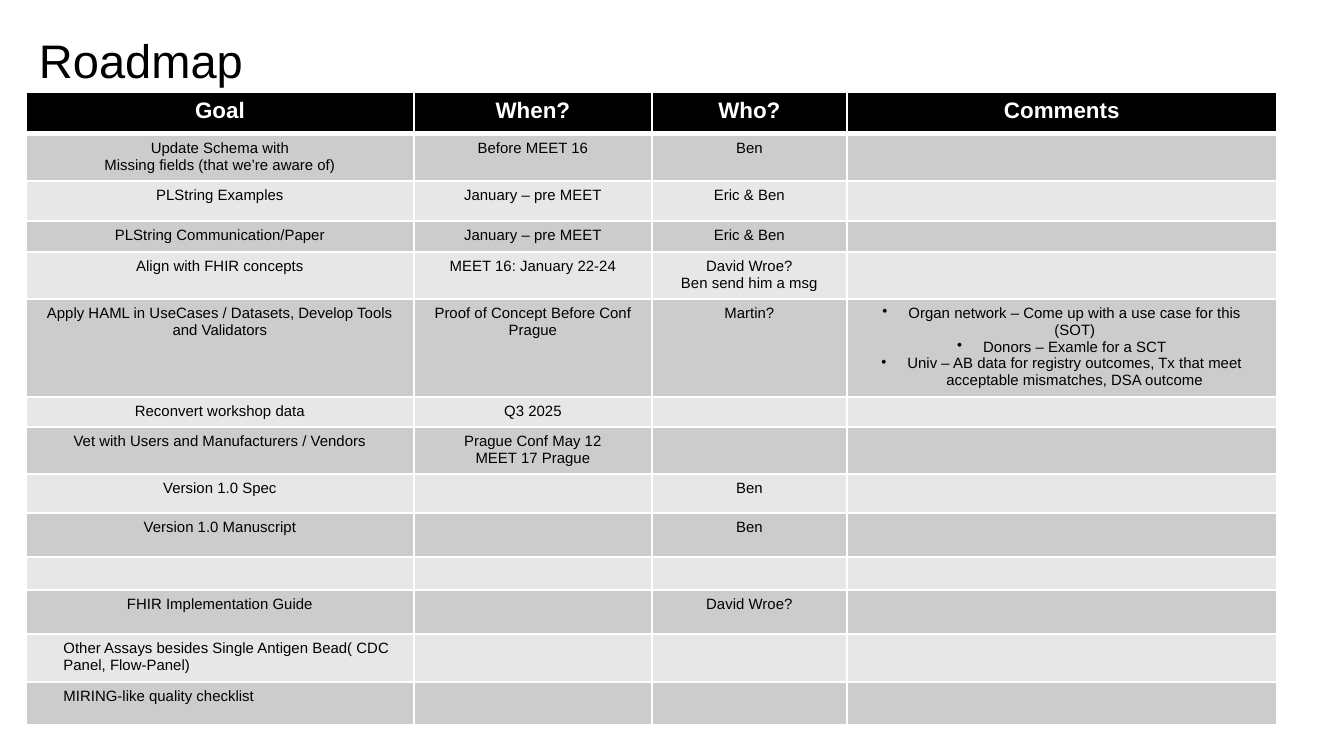
from dataclasses import dataclass

from lxml import etree
from pptx import Presentation
from pptx.dml.color import RGBColor
from pptx.enum.text import MSO_ANCHOR, PP_ALIGN
from pptx.oxml.ns import qn
from pptx.util import Pt

LEFT, CENTER = PP_ALIGN.LEFT, PP_ALIGN.CENTER
BOTTOM = MSO_ANCHOR.BOTTOM
PX = 914400 / 134.4


@dataclass(frozen=True)
class Theme:
    font: str = "Arial"
    ink: str = "000000"
    paper: str = "FFFFFF"
    bands: tuple = ("CCCCCC", "E7E7E7")
    title_size: float = 25.2
    header_size: float = 12
    body_size: float = 8
    thin: float = 1
    thick: float = 3


THEME = Theme()
TABLE_LEFT, TABLE_TOP = 26, 92
COLUMN_WIDTHS = [388, 238, 195, 430]
ROW_HEIGHTS = [42, 47, 40, 31, 47, 81, 30, 47, 39, 44, 33, 44, 48, 43]
CELL_TOP, CELL_BOTTOM = 6, 3
INDENT = 24
BULLET_INDENT = 26
INDENTED_FROM_ROW = 12

HEADERS = ["Goal", "When?", "Who?", "Comments"]
USE_CASES = "\n".join([
    "Organ network – Come up with a use case for this (SOT)",
    "Donors – Examle for a SCT",
    "Univ – AB data for registry outcomes, Tx that meet acceptable mismatches, DSA outcome",
])
GOALS = [
    ["Update Schema with\nMissing fields (that we’re aware of)", "Before MEET 16", "Ben", ""],
    ["PLString Examples", "January – pre MEET", "Eric & Ben", ""],
    ["PLString Communication/Paper", "January – pre MEET", "Eric & Ben", ""],
    ["Align with FHIR concepts", "MEET 16: January 22-24", "David Wroe?\nBen send him a msg", ""],
    ["Apply HAML in UseCases / Datasets, Develop Tools and Validators",
     "Proof of Concept Before Conf Prague", "Martin?", USE_CASES],
    ["Reconvert workshop data", "Q3 2025", "", ""],
    ["Vet with Users and Manufacturers / Vendors", "Prague Conf May 12\nMEET 17 Prague", "", ""],
    ["Version 1.0 Spec", "", "Ben", ""],
    ["Version 1.0 Manuscript", "", "Ben", ""],
    ["", "", "", ""],
    ["FHIR Implementation Guide", "", "David Wroe?", ""],
    ["Other Assays besides Single Antigen Bead( CDC Panel, Flow-Panel)", "", "", ""],
    ["MIRING-like quality checklist", "", "", ""],
]


def px(n):
    return round(n * PX)


def write_text(tf, text, *, size, color=THEME.ink, bold=False, align=LEFT,
               indent=0, bullet=False):
    """Write one paragraph per line; an empty text still fixes the line height."""
    for i, line in enumerate(text.split("\n")):
        p = tf.paragraphs[0] if i == 0 else tf.add_paragraph()
        p.alignment = align
        pPr = p._p.get_or_add_pPr()
        if indent:
            pPr.set("marL", str(px(indent)))
        if bullet:
            pPr.set("indent", str(-px(indent)))
            etree.SubElement(pPr, qn("a:buChar"), char="•")
        if not line:
            etree.SubElement(p._p, qn("a:endParaRPr"), sz=str(round(size * 100)))
            continue
        r = p.add_run()
        r.text = line
        r.font.name = THEME.font
        r.font.size = Pt(size)
        r.font.bold = bold
        r.font.color.rgb = RGBColor.from_string(color)


def style_cell(cell, fill, top=THEME.thin, bottom=THEME.thin):
    """Draw the cell borders, then the fill, in the order the schema wants."""
    cell.margin_top, cell.margin_bottom = px(CELL_TOP), px(CELL_BOTTOM)
    tcPr = cell._tc.get_or_add_tcPr()
    widths = {"lnL": THEME.thin, "lnR": THEME.thin, "lnT": top, "lnB": bottom}
    for side, width in widths.items():
        ln = etree.SubElement(tcPr, qn(f"a:{side}"), w=str(Pt(width)))
        solid = etree.SubElement(ln, qn("a:solidFill"))
        etree.SubElement(solid, qn("a:srgbClr"), val=THEME.paper)
    cell.fill.solid()
    cell.fill.fore_color.rgb = RGBColor.from_string(fill)


def add_title(s, text):
    tf = s.shapes.add_textbox(px(26), px(16), px(1251), px(85)).text_frame
    tf.word_wrap = True
    tf.vertical_anchor = BOTTOM
    tf.margin_left = tf.margin_right = tf.margin_top = tf.margin_bottom = px(13)
    write_text(tf, text, size=THEME.title_size)


def add_roadmap_table(s):
    table = s.shapes.add_table(
        len(ROW_HEIGHTS), len(COLUMN_WIDTHS), px(TABLE_LEFT), px(TABLE_TOP),
        px(sum(COLUMN_WIDTHS)), px(sum(ROW_HEIGHTS))).table
    table.horz_banding = False
    for column, width in zip(table.columns, COLUMN_WIDTHS):
        column.width = px(width)
    for row, height in zip(table.rows, ROW_HEIGHTS):
        row.height = px(height)

    for c, text in enumerate(HEADERS):
        cell = table.cell(0, c)
        style_cell(cell, THEME.ink, bottom=THEME.thick)
        write_text(cell.text_frame, text, size=THEME.header_size,
                   color=THEME.paper, bold=True, align=CENTER)

    for r, goal in enumerate(GOALS, start=1):
        for c, text in enumerate(goal):
            cell = table.cell(r, c)
            style_cell(cell, THEME.bands[(r - 1) % 2],
                       top=THEME.thick if r == 1 else THEME.thin)
            bullet = text == USE_CASES
            indented = c == 0 and r >= INDENTED_FROM_ROW
            write_text(cell.text_frame, text, size=THEME.body_size, bullet=bullet,
                       align=LEFT if indented else CENTER,
                       indent=BULLET_INDENT if bullet else INDENT if indented else 0)


def main():
    prs = Presentation()
    prs.slide_width, prs.slide_height = px(1344), px(756)
    s = prs.slides.add_slide(prs.slide_layouts[6])
    add_title(s, "Roadmap")
    add_roadmap_table(s)
    prs.save("out.pptx")


if __name__ == "__main__":
    main()
